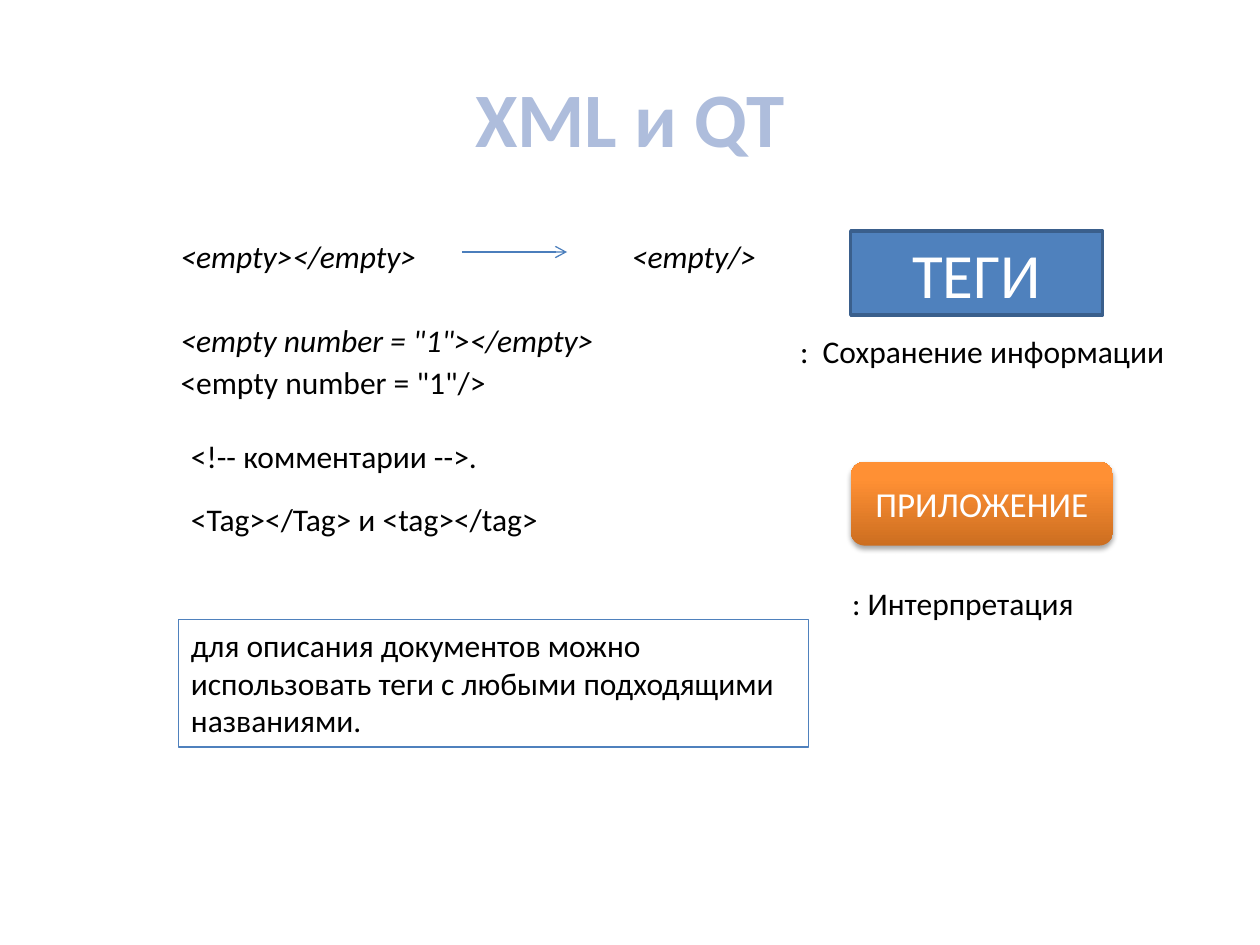
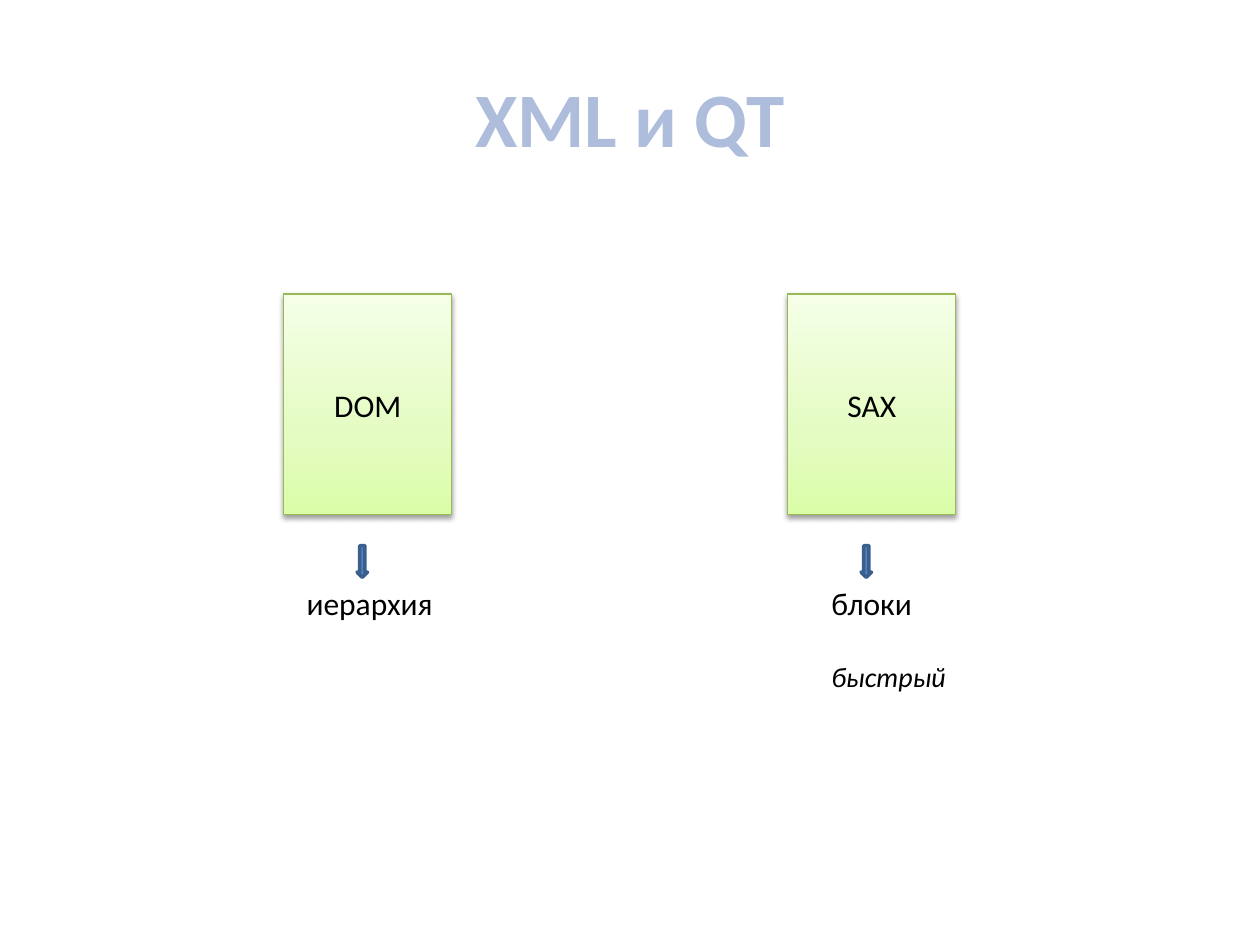
from lxml.etree import SubElement as Sub
from pptx import Presentation
from pptx.dml.color import RGBColor as Rgb
from pptx.enum.shapes import MSO_CONNECTOR as Link, MSO_SHAPE as Form
from pptx.enum.text import MSO_ANCHOR as Anchor, MSO_AUTO_SIZE as Fit, PP_ALIGN as Align
from pptx.oxml.ns import qn
from pptx.util import Cm, Pt

HUES = {
    "title": "AEBDDC", "text": "000000", "white": "FFFFFF",
    "blue": "4F81BD", "navy": "3A5F8C", "link": "4B7EBC", "green": "98B955",
}
ORANGE = [(0, "CC6E20"), (80, "FF9034"), (100, "FF9136")]
LIME = [(0, "DAFDA7"), (35, "E4FCC2"), (100, "F5FFE7")]


class Deck:
    font = "Calibri"

    def __init__(self):
        self.file = Presentation()
        self.file.slide_width, self.file.slide_height = Cm(25.4), Cm(19.05)
        self.slide = None

    def page(self, title):
        self.slide = self.file.slides.add_slide(self.file.slide_layouts[6])
        box = self.slide.shapes.add_textbox(Cm(1.27), Cm(0.76), Cm(22.86), Cm(3.17))
        frame = box.text_frame
        frame.word_wrap = True
        frame.vertical_anchor = Anchor.MIDDLE
        self.say(frame.paragraphs[0], title, 44, "title", bold=True, align=Align.CENTER)

    def say(self, para, text, size=18, hue="text", bold=False, slant=False, align=Align.LEFT):
        para.alignment = align
        run = para.add_run()
        run.text = text
        font = run.font
        font.name, font.size = self.font, Pt(size)
        font.bold, font.italic = bold, slant
        font.color.rgb = Rgb.from_string(HUES[hue])

    def label(self, x, y, wide, text, slant=False):
        """One line of text that does not wrap."""
        box = self.slide.shapes.add_textbox(Cm(x), Cm(y), Cm(wide), Cm(1.03))
        frame = box.text_frame
        frame.word_wrap = False
        frame.auto_size = Fit.SHAPE_TO_FIT_TEXT
        self.say(frame.paragraphs[0], text, slant=slant)
        return frame

    def shape(self, form, x, y, wide, high, fill=None, line=None, width=0.75, shade=None):
        """Fill is a colour name, a list of gradient stops, or None."""
        item = self.slide.shapes.add_shape(form, Cm(x), Cm(y), Cm(wide), Cm(high))
        item.shadow.inherit = False
        if fill is None:
            item.fill.background()
        elif isinstance(fill, str):
            item.fill.solid()
            item.fill.fore_color.rgb = Rgb.from_string(HUES[fill])
        else:
            self.blend(item, fill)
        if line:
            item.line.color.rgb = Rgb.from_string(HUES[line])
            item.line.width = Pt(width)
        else:
            item.line.fill.background()
        if shade:
            self.shade(item, *shade)
        return item

    def block(self, *place, text, size=18, hue="text", **look):
        """A shape with centred text."""
        frame = self.shape(*place, **look).text_frame
        frame.vertical_anchor = Anchor.MIDDLE
        self.say(frame.paragraphs[0], text, size, hue, align=Align.CENTER)

    def blend(self, item, stops):
        item.fill.gradient()
        item.fill.gradient_angle = 90
        steps = item._element.spPr.find(qn("a:gradFill")).find(qn("a:gsLst"))
        for old in list(steps):
            steps.remove(old)
        for spot, hue in stops:
            step = Sub(steps, qn("a:gs"), pos=str(spot * 1000))
            Sub(step, qn("a:srgbClr"), val=hue)

    def shade(self, item, alpha, drop):
        effects = item._element.spPr.find(qn("a:effectLst"))
        outer = Sub(effects, qn("a:outerShdw"), blurRad=str(Pt(3.1)), dist=str(Pt(drop)),
                    dir="5400000", rotWithShape="0")
        tint = Sub(outer, qn("a:srgbClr"), val="000000")
        Sub(tint, qn("a:alpha"), val=str(alpha * 1000))

    def arrow(self, x, y, end):
        link = self.slide.shapes.add_connector(Link.STRAIGHT, Cm(x), Cm(y), Cm(end), Cm(y))
        link.line.color.rgb = Rgb.from_string(HUES["link"])
        link.line.width = Pt(0.75)
        props = link._element.spPr
        Sub(props.find(qn("a:ln")), qn("a:tailEnd"), type="arrow")
        Sub(props, qn("a:effectLst"))


def tags(deck):
    deck.page("XML и QT")

    # Tag samples
    for x, y, wide, text, slant in [
        (3.39, 4.66, 5.31, "<empty></empty>", True),
        (12.49, 4.66, 3.05, "<empty/>", True),
        (3.39, 6.35, 8.94, '<empty number = "1"></empty>', True),
        (3.39, 7.2, 6.76, '<empty number = "1"/>', False),
        (3.6, 8.68, 6.35, "<!-- комментарии -->.", False),
        (3.6, 9.95, 7.75, "<Tag></Tag> и <tag></tag>", False),
    ]:
        deck.label(x, y, wide, text, slant)
    deck.arrow(9.31, 5.08, 11.43)

    # Roles of tags and application
    deck.block(Form.RECTANGLE, 17.15, 4.66, 5.08, 1.69, text="ТЕГИ", size=36,
               hue="white", fill="blue", line="navy", width=2)
    deck.label(15.88, 6.56, 8.23, ":  Сохранение информации")
    deck.block(Form.ROUNDED_RECTANGLE, 17.15, 9.31, 5.29, 1.69, text="ПРИЛОЖЕНИЕ", size=20,
               hue="white", fill=ORANGE, shade=(35, 1.8))
    deck.label(16.93, 11.64, 5.03, ": Интерпретация")

    # Framed note
    note = deck.shape(Form.RECTANGLE, 3.6, 12.49, 12.7, 2.57, line="blue").text_frame
    note.word_wrap = True
    note.vertical_anchor = Anchor.TOP
    deck.say(note.paragraphs[0], "для описания документов можно использовать теги "
             "с любыми подходящими названиями.")


def models(deck):
    deck.page("XML и QT")

    # Two parser models with arrows down to their traits
    for col, name in enumerate(["DOM", "SAX"]):
        shift = col * 10.16
        deck.block(Form.RECTANGLE, 5.72 + shift, 5.93, 3.39, 4.45, text=name,
                   fill=LIME, line="green", shade=(38, 1.6))
        deck.shape(Form.DOWN_ARROW, 7.2 + shift, 11, 0.21, 0.64,
                   fill="blue", line="navy", width=2)

    # Traits
    deck.label(5.93, 11.64, 3.07, "иерархия")
    trait = deck.label(16.51, 11.64, 2.84, "блоки")
    speed = trait.add_paragraph()
    speed.space_before = Pt(22)
    deck.say(speed, "быстрый", 16, slant=True)


def main():
    deck = Deck()
    tags(deck)
    models(deck)
    deck.file.save("out.pptx")


if __name__ == "__main__":
    main()
